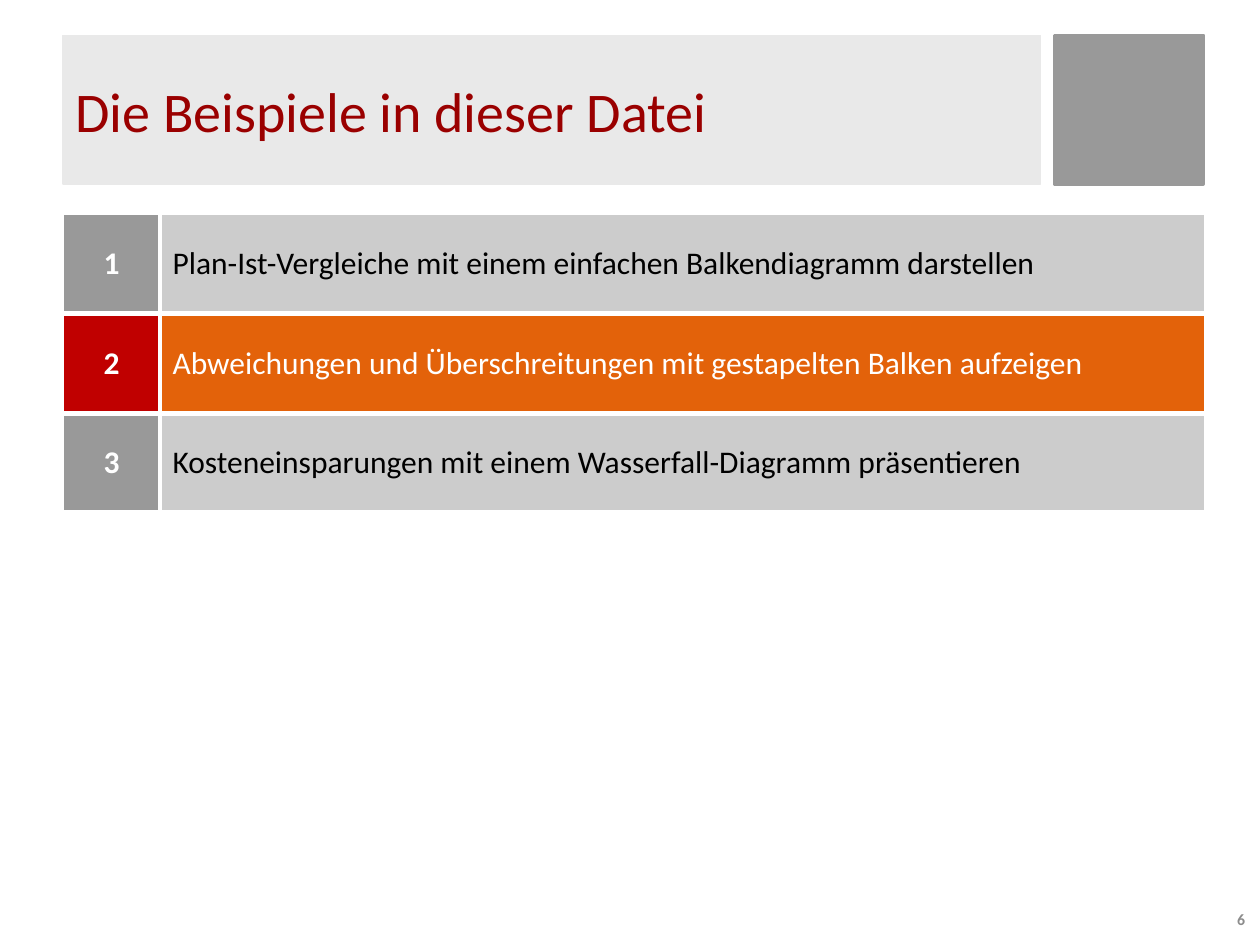
"""Build the agenda slide with its second topic highlighted."""
from lxml import etree
from pptx import Presentation
from pptx.dml.color import RGBColor
from pptx.enum.shapes import MSO_SHAPE
from pptx.enum.text import MSO_ANCHOR, PP_ALIGN
from pptx.oxml.ns import qn
from pptx.util import Inches, Pt

RECT = MSO_SHAPE.RECTANGLE
MIDDLE = MSO_ANCHOR.MIDDLE
LEFT, CENTER, RIGHT = PP_ALIGN.LEFT, PP_ALIGN.CENTER, PP_ALIGN.RIGHT

WHITE = RGBColor(0xFF, 0xFF, 0xFF)
BLACK = RGBColor(0x00, 0x00, 0x00)
PALE = RGBColor(0xE9, 0xE9, 0xE9)
SILVER = RGBColor(0xCC, 0xCC, 0xCC)
GRAY = RGBColor(0x99, 0x99, 0x99)
DIM = RGBColor(0x8C, 0x8C, 0x8C)
WINE = RGBColor(0x9A, 0x00, 0x00)
RED = RGBColor(0xC0, 0x00, 0x00)
ORANGE = RGBColor(0xE3, 0x62, 0x0A)

TITLE = "Die Beispiele in dieser Datei"
TOPICS = [
    "Plan-Ist-Vergleiche mit einem einfachen Balkendiagramm darstellen",
    "Abweichungen und Überschreitungen mit gestapelten Balken aufzeigen",
    "Kosteneinsparungen mit einem Wasserfall-Diagramm präsentieren",
]
ACTIVE = 2
PAGE = "6"
WIDTHS = (0.77, 8.29)
HEIGHT = 0.79
THIN, THICK = 1, 3


def write(frame, text, align, **style):
    frame.word_wrap = True
    frame.vertical_anchor = MIDDLE
    para = frame.paragraphs[0]
    para.alignment = align
    run = para.add_run()
    run.text = text
    color = style.pop("color")
    run.font.color.rgb = color
    for key, value in {"name": "Calibri", **style}.items():
        setattr(run.font, key, value)


def block(slide, box, fill, width):
    shape = slide.shapes.add_shape(RECT, *map(Inches, box))
    shape.shadow.inherit = False
    shape.fill.solid()
    shape.fill.fore_color.rgb = fill
    shape.line.color.rgb = fill
    shape.line.width = Pt(width)
    return shape


def edge(cell, side, width):
    props = cell._tc.get_or_add_tcPr()
    line = etree.SubElement(props, qn(f"a:ln{side}"), w=str(Pt(width)))
    fill = etree.SubElement(line, qn("a:solidFill"))
    etree.SubElement(fill, qn("a:srgbClr"), val=str(WHITE))


def agenda(slide):
    size = (sum(WIDTHS), HEIGHT * len(TOPICS))
    table = slide.shapes.add_table(
        len(TOPICS), len(WIDTHS), *map(Inches, (0.5, 1.7, *size))).table
    for col, width in zip(table.columns, WIDTHS):
        col.width = Inches(width)
    for row, topic in enumerate(TOPICS):
        table.rows[row].height = Inches(HEIGHT)
        live = row + 1 == ACTIVE
        pair = [
            (str(row + 1), CENTER, RED if live else GRAY, WHITE, True),
            (topic, LEFT, ORANGE if live else SILVER,
             WHITE if live else BLACK, False),
        ]
        for col, (text, align, fill, color, bold) in enumerate(pair):
            cell = table.cell(row, col)
            edges = {
                "L": THICK if col else THIN,
                "R": THIN if col else THICK,
                "T": THICK if row else THIN,
                "B": THICK,
            }
            for side, width in edges.items():
                edge(cell, side, width)
            cell.fill.solid()
            cell.fill.fore_color.rgb = fill
            cell.vertical_anchor = MIDDLE
            write(cell.text_frame, text, align,
                  size=Pt(18), color=color, bold=bold)


def main():
    deck = Presentation()
    deck.slide_width, deck.slide_height = Inches(10), Inches(7.5)
    slide = deck.slides.add_slide(deck.slide_layouts[6])
    block(slide, (8.37, 0.28, 1.18, 1.18), GRAY, 2)
    head = block(slide, (0.5, 0.28, 7.76, 1.18), PALE, 0.75)
    write(head.text_frame, TITLE, LEFT, size=Pt(32), color=WINE)
    agenda(slide)
    foot = slide.shapes.add_textbox(*map(Inches, (9.18, 7.14, 0.8, 0.31)))
    write(foot.text_frame, PAGE, RIGHT, size=Pt(9), color=DIM, bold=True)
    deck.save("out.pptx")


if __name__ == "__main__":
    main()
